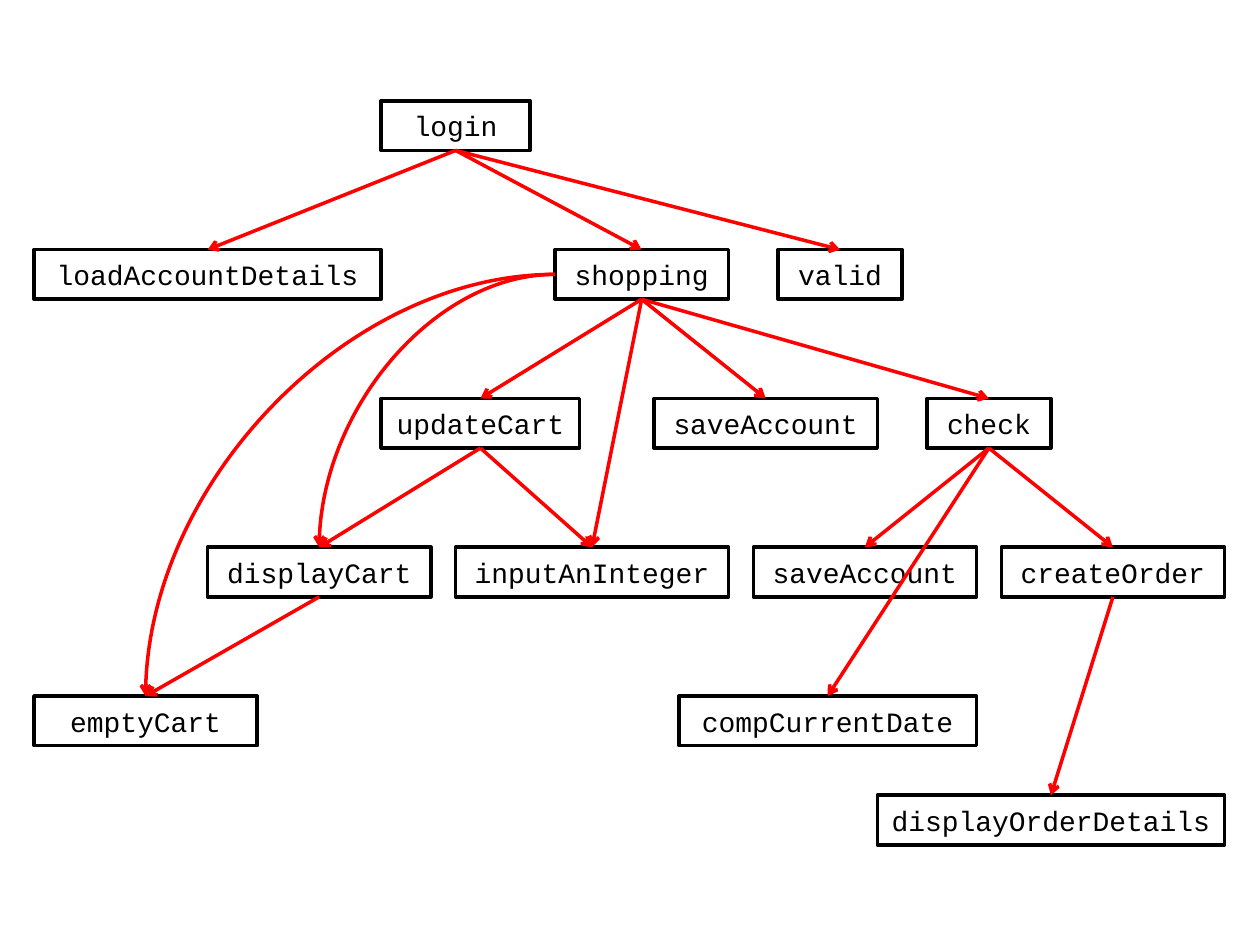
from dataclasses import dataclass

from lxml.etree import SubElement
from pptx import Presentation
from pptx.dml.color import RGBColor
from pptx.enum.shapes import MSO_CONNECTOR as CXN, MSO_SHAPE as SHAPE
from pptx.enum.text import MSO_ANCHOR as ANCHOR, PP_ALIGN as ALIGN
from pptx.oxml.ns import qn
from pptx.util import Cm, Inches, Pt


@dataclass(frozen=True)
class Theme:
    font: str = "Courier New"
    size: int = 16
    line_width: int = 2
    ink: RGBColor = RGBColor(0, 0, 0)
    arrow: RGBColor = RGBColor(255, 0, 0)


# Connection sites of a process box
TOP, LEFT, BOTTOM = 0, 1, 2


class CallGraph:
    unit = Cm(0.5)
    left, top = Inches(0.27), Inches(0.8)
    box_rows = 2

    def __init__(self, slide, theme):
        self.slide, self.theme = slide, theme

    def box(self, text, col, row, cols):
        t, u = self.theme, self.unit
        sp = self.slide.shapes.add_shape(
            SHAPE.FLOWCHART_PROCESS, self.left + col * u, self.top + row * u,
            cols * u, self.box_rows * u)
        sp.shadow.inherit = False
        sp.fill.background()
        sp.line.color.rgb = t.ink
        sp.line.width = Pt(t.line_width)
        tf = sp.text_frame
        tf.text = text
        tf.word_wrap = True
        tf.vertical_anchor = ANCHOR.MIDDLE
        tf.margin_left = tf.margin_right = Inches(0.08)
        tf.margin_top = tf.margin_bottom = Inches(0.05)
        p = tf.paragraphs[0]
        p.alignment = ALIGN.CENTER
        font = p.runs[0].font
        font.name, font.size = t.font, Pt(t.size)
        font.color.rgb = t.ink
        return sp

    def call(self, caller, callee, curved=False):
        kind = CXN.CURVE if curved else CXN.STRAIGHT
        cxn = self.slide.shapes.add_connector(kind, 0, 0, 0, 0)
        cxn.begin_connect(caller, LEFT if curved else BOTTOM)
        cxn.end_connect(callee, TOP)
        cxn.line.color.rgb = self.theme.arrow
        cxn.line.width = Pt(self.theme.line_width)
        sp_pr = cxn._element.spPr
        if curved:  # a quarter turn instead of an S-curve
            sp_pr.find(qn("a:prstGeom")).set("prst", "curvedConnector2")
        SubElement(cxn.line._get_or_add_ln(), qn("a:tailEnd"), type="arrow")
        SubElement(sp_pr, qn("a:effectLst"))


# Functions by grid row: (text, column, width in columns)
LEVELS = {
    0: [("login", 14, 6)],
    6: [("loadAccountDetails", 0, 14), ("shopping", 21, 7), ("valid", 30, 5)],
    12: [("updateCart", 14, 8), ("saveAccount", 25, 9), ("check", 36, 5)],
    18: [("displayCart", 7, 9), ("inputAnInteger", 17, 11),
         ("saveAccount", 29, 9), ("createOrder", 39, 9)],
    24: [("emptyCart", 0, 9), ("compCurrentDate", 26, 12)],
    28: [("displayOrderDetails", 34, 14)],
}

# Calls between (text, row) boxes
CALLS = {
    ("login", 0): [("loadAccountDetails", 6), ("shopping", 6), ("valid", 6)],
    ("shopping", 6): [("updateCart", 12), ("saveAccount", 12), ("check", 12),
                      ("inputAnInteger", 18)],
    ("updateCart", 12): [("displayCart", 18), ("inputAnInteger", 18)],
    ("check", 12): [("saveAccount", 18), ("compCurrentDate", 24),
                    ("createOrder", 18)],
    ("displayCart", 18): [("emptyCart", 24)],
    ("createOrder", 18): [("displayOrderDetails", 28)],
}
CURVED_CALLS = {("shopping", 6): [("displayCart", 18), ("emptyCart", 24)]}


def main():
    prs = Presentation()
    prs.slide_width, prs.slide_height = Inches(10), Inches(7.5)
    graph = CallGraph(prs.slides.add_slide(prs.slide_layouts[6]), Theme())

    # Function boxes
    boxes = {(text, row): graph.box(text, col, row, cols)
             for row, level in LEVELS.items() for text, col, cols in level}

    # Call arrows
    for calls, curved in ((CALLS, False), (CURVED_CALLS, True)):
        for caller, callees in calls.items():
            for callee in callees:
                graph.call(boxes[caller], boxes[callee], curved)

    prs.save("out.pptx")


if __name__ == "__main__":
    main()
